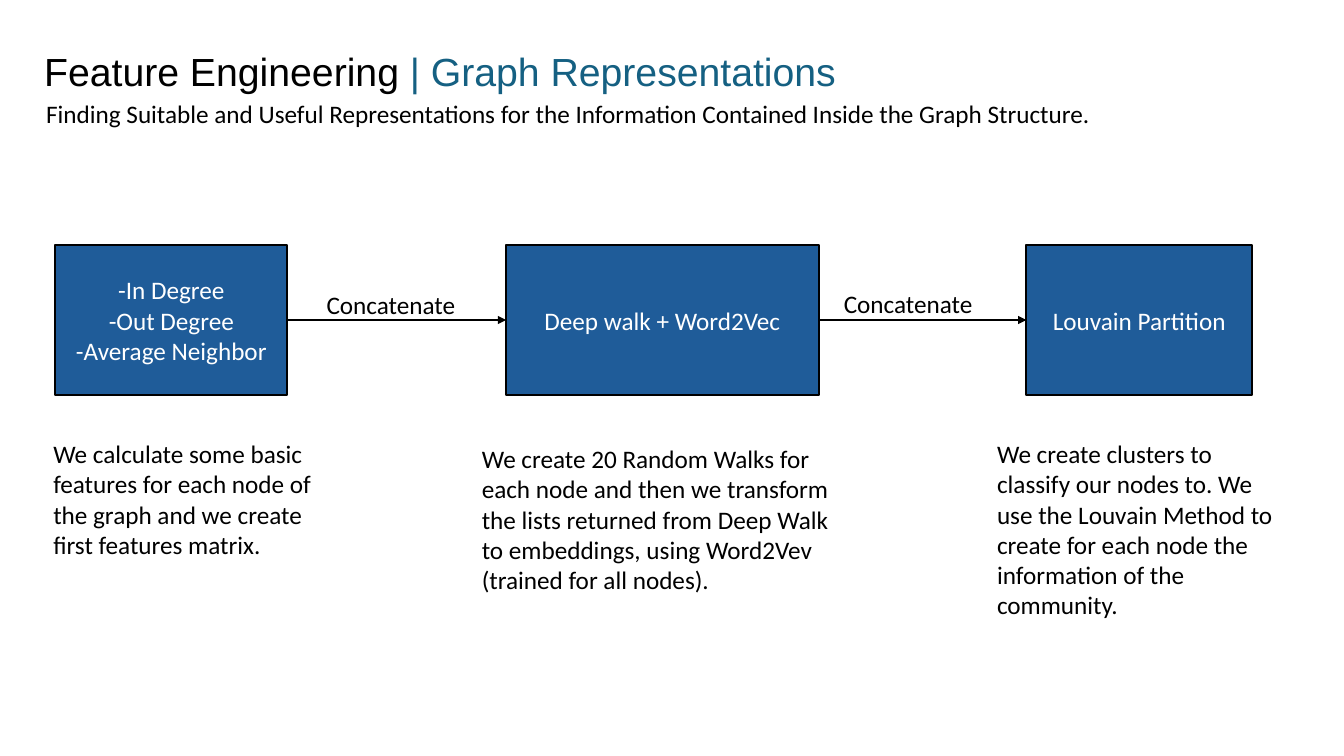
from lxml import etree
from pptx import Presentation
from pptx.dml.color import RGBColor
from pptx.enum.shapes import MSO_CONNECTOR, MSO_SHAPE
from pptx.enum.text import MSO_ANCHOR, MSO_AUTO_SIZE, PP_ALIGN
from pptx.oxml.ns import qn
from pptx.util import Inches, Pt

RECT = MSO_SHAPE.RECTANGLE
STRAIGHT = MSO_CONNECTOR.STRAIGHT
MIDDLE = MSO_ANCHOR.MIDDLE
GROW = MSO_AUTO_SIZE.SHAPE_TO_FIT_TEXT
LEFT, CENTER = PP_ALIGN.LEFT, PP_ALIGN.CENTER
RIGHT_SIDE, LEFT_SIDE = 3, 1

THEME = {
    "ink": RGBColor.from_string("000000"),
    "accent": RGBColor.from_string("156082"),
    "box": RGBColor.from_string("1F5C99"),
    "light": RGBColor.from_string("FFFFFF"),
    "line": Pt(1.5),
    "title": {"name": "Arial", "size": Pt(28)},
    "body": {"name": "Calibri", "size": Pt(18)},
}


def write(frame, lines, font, align=LEFT):
    """Fill a text frame; each line is a list of (text, colour) runs."""
    frame.word_wrap = True
    for i, line in enumerate(lines):
        para = frame.paragraphs[0] if i == 0 else frame.add_paragraph()
        para.alignment = align
        for text, color in line:
            run = para.add_run()
            run.text = text
            for key, value in font.items():
                setattr(run.font, key, value)
            run.font.color.rgb = color


def add_text(place, runs, font):
    frame = slide.shapes.add_textbox(*map(Inches, place)).text_frame
    write(frame, [runs], font)
    frame.auto_size = GROW


deck = Presentation()
deck.slide_width, deck.slide_height = Inches(13.33), Inches(7.5)
slide = deck.slides.add_slide(deck.slide_layouts[6])

# Heading
add_text((0.34, 0.42, 12.66, 0.57),
         [("Feature Engineering ", THEME["ink"]),
          ("| Graph Representations", THEME["accent"])], THEME["title"])

# Steps: left edge, width, lines
steps = [
    (0.55, 2.3, ["-In Degree", "-Out Degree", "-Average Neighbor"]),
    (5.02, 3.1, ["Deep walk + Word2Vec"]),
    (10.18, 2.24, ["Louvain Partition"]),
]
boxes = []
for left, width, lines in steps:
    box = slide.shapes.add_shape(RECT, *map(Inches, (left, 2.43, width, 1.49)))
    box.shadow.inherit = False
    box.fill.solid()
    box.fill.fore_color.rgb = THEME["box"]
    box.line.color.rgb = THEME["ink"]
    box.line.width = THEME["line"]
    box.text_frame.vertical_anchor = MIDDLE
    write(box.text_frame, [[(line, THEME["light"])] for line in lines],
          THEME["body"], CENTER)
    boxes.append(box)

# Arrows between neighbouring steps
for start, end in zip(boxes, boxes[1:]):
    arrow = slide.shapes.add_connector(STRAIGHT, 0, 0, 0, 0)
    arrow.begin_connect(start, RIGHT_SIDE)
    arrow.end_connect(end, LEFT_SIDE)
    arrow.line.color.rgb = THEME["ink"]
    arrow.line.width = THEME["line"]
    etree.SubElement(arrow.line._get_or_add_ln(), qn("a:tailEnd"), type="triangle")
    etree.SubElement(arrow._element.spPr, qn("a:effectLst"))

# Subtitle, arrow labels and step notes
texts = [
    ((0.36, 0.93, 12.54, 0.4),
     "Finding Suitable and Useful Representations for the Information "
     "Contained Inside the Graph Structure."),
    ((3.14, 2.82, 1.69, 0.4), "Concatenate"),
    ((8.27, 2.81, 1.69, 0.4), "Concatenate"),
    ((0.43, 4.3, 3.01, 1.31),
     "We calculate some basic features for each node of the graph and we "
     "create first features matrix."),
    ((4.68, 4.35, 3.79, 1.62),
     "We create 20 Random Walks for each node and then we transform the lists "
     "returned from Deep Walk to embeddings, using Word2Vev (trained for all "
     "nodes)."),
    ((9.79, 4.3, 3.01, 1.92),
     "We create clusters to classify our nodes to. We use the Louvain Method "
     "to create for each node the information of the community."),
]
for place, text in texts:
    add_text(place, [(text, THEME["ink"])], THEME["body"])

deck.save("out.pptx")
